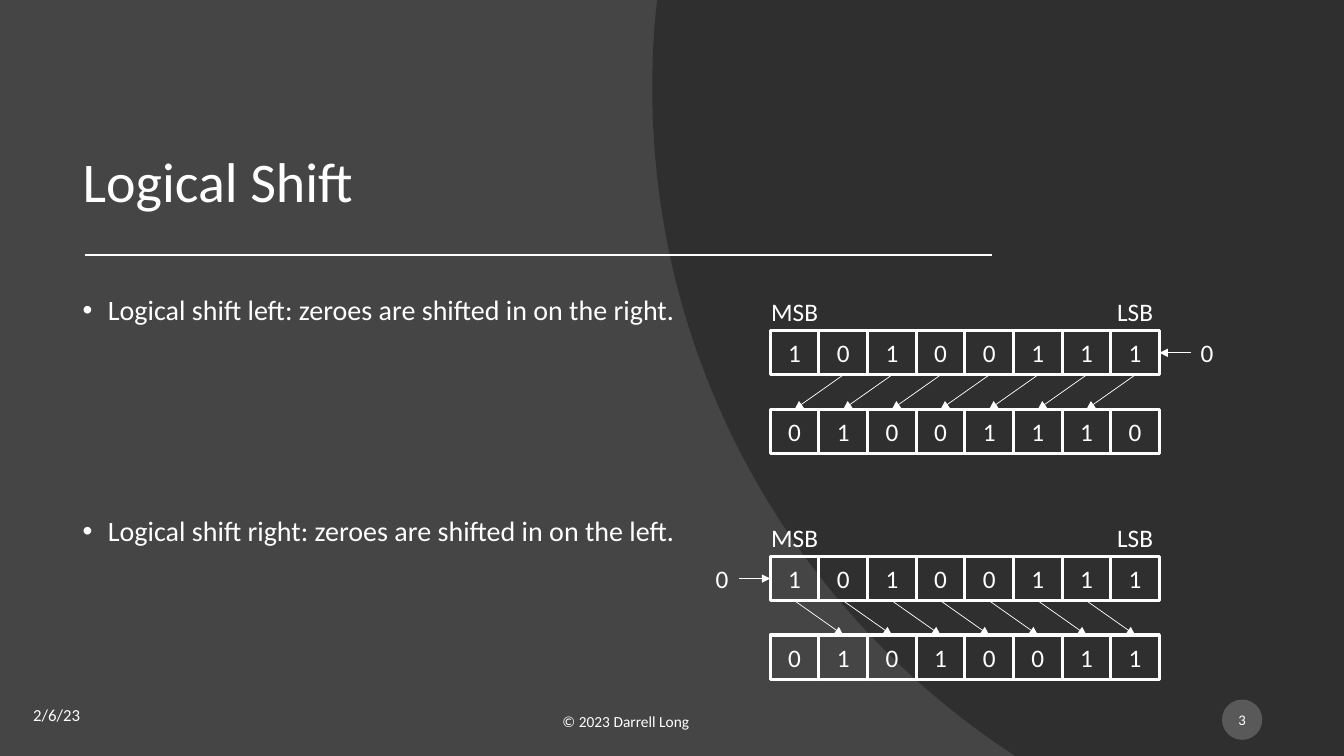
from lxml import etree
from pptx import Presentation
from pptx.dml.color import RGBColor
from pptx.enum.shapes import MSO_CONNECTOR, MSO_SHAPE
from pptx.enum.text import MSO_ANCHOR, MSO_AUTO_SIZE, PP_ALIGN
from pptx.oxml.ns import qn
from pptx.util import Inches, Pt

RECT, OVAL = MSO_SHAPE.RECTANGLE, MSO_SHAPE.OVAL
LINE = MSO_CONNECTOR.STRAIGHT
LEFT, CENTER = PP_ALIGN.LEFT, PP_ALIGN.CENTER
TOP, MIDDLE, BOTTOM = MSO_ANCHOR.TOP, MSO_ANCHOR.MIDDLE, MSO_ANCHOR.BOTTOM
FIXED = MSO_AUTO_SIZE.NONE

FONT, WHITE = "Calibri", "FFFFFF"
WIDE, HIGH = 13.33, 7.5

# Bit grid: eight columns, two rows per register pair
BITS = 8
GRID_X = 7.64
COL = 3.86 / BITS
ROW = 0.44
STEP = 0.78
TEXT_H = 0.4
ZERO_W = 0.33
REACH = 0.31


def color(code):
    return RGBColor.from_string(code)


def box(*sides):
    return [Inches(side) for side in sides]


def write(shape, lines, size, align=LEFT, anchor=MIDDLE, wrap=True):
    frame = shape.text_frame
    frame.text = "\n".join(lines)
    frame.auto_size = FIXED
    frame.word_wrap = wrap
    frame.vertical_anchor = anchor
    for para in frame.paragraphs:
        para.alignment = align
        for run in para.runs:
            run.font.name = FONT
            run.font.size = Pt(size)
            run.font.color.rgb = color(WHITE)
    return frame


def label(shapes, text, place, size, align=LEFT, wrap=True):
    write(shapes.add_textbox(*box(*place)), [text], size, align, wrap=wrap)


def rule(shapes, start, end, width, arrow=False):
    line = shapes.add_connector(LINE, *box(*start, *end))
    line.line.color.rgb = color(WHITE)
    line.line.width = Pt(width)
    if arrow:
        etree.SubElement(line.line._get_or_add_ln(), qn("a:tailEnd"), type="triangle")
    etree.SubElement(line._element.spPr, qn("a:effectLst"))


def curve(a, b, c, d, count=60):
    """Points along a cubic curve, after its start."""
    for i in range(1, count + 1):
        t = i / count
        s = 1 - t
        yield tuple(s**3 * p + 3 * s * s * t * q + 3 * s * t * t * r + t**3 * e
                    for p, q, r, e in zip(a, b, c, d))


def backdrop(slide):
    fill = slide.background.fill
    fill.solid()
    fill.fore_color.rgb = color("454545")
    low, edge, high = (9.95, 7.42), (6.47, 0.88), (6.51, 0.07)
    points = [(WIDE, 0), (WIDE, HIGH), (10.07, HIGH), low]
    points += curve(low, (7.85, 6), (6.47, 3.6), edge)
    points += curve(edge, (6.47, 0.61), (6.48, 0.34), high)
    pen = slide.shapes.build_freeform(Inches(6.52), 0)
    pen.add_line_segments([box(*point) for point in points])
    shade = pen.convert_to_shape()
    shade.shadow.inherit = False
    shade.line.fill.background()
    shade.fill.solid()
    shade.fill.fore_color.rgb = color("262626")
    tint = shade._element.spPr.find(".//" + qn("a:srgbClr"))
    etree.SubElement(tint, qn("a:alpha"), val="70000")


def heading(slide, text):
    title = slide.shapes.title
    title.left, title.top, title.width, title.height = box(0.72, 0.4, 9.86, 1.78)
    frame = write(title, [text], 40, anchor=BOTTOM)
    frame.paragraphs[0].line_spacing = 0.9
    rule(slide.shapes, (0.84, 2.53), (9.84, 2.53), 1.5)


def points_list(slide, lines):
    body = slide.placeholders[1]
    body.left, body.top, body.width, body.height = box(0.72, 2.89, 9.86, 3.64)
    frame = write(body, lines, 20, anchor=TOP)
    for i, para in enumerate(frame.paragraphs):
        props = para._p.get_or_add_pPr()
        props.set("marL", str(Inches(0.25)))
        props.set("indent", str(-Inches(0.25)))
        etree.SubElement(props, qn("a:buFont"), typeface="Arial")
        etree.SubElement(props, qn("a:buChar"), char="•")
        para.line_spacing = 0.9
        para.space_before = Pt(136.5 if i else 0)


def middle(i):
    return GRID_X + (i + 0.5) * COL


def register(shapes, bits, top):
    for i, bit in enumerate(bits):
        cell = shapes.add_shape(RECT, *box(GRID_X + i * COL, top, COL, ROW))
        cell.shadow.inherit = False
        cell.fill.background()
        cell.line.color.rgb = color(WHITE)
        cell.line.width = Pt(2.25)
        write(cell, [bit], 18, CENTER, wrap=False)


def shift(slide, before, after, top, move):
    """Two registers; move is -1 for a left shift and 1 for a right shift."""
    shapes = slide.shapes.add_group_shape().shapes
    register(shapes, before, top)
    register(shapes, after, top + STEP)
    for text, i, width in (("MSB", 0, 0.67), ("LSB", BITS - 1, 0.56)):
        place = (middle(i) - width / 2, top - 0.39, width, TEXT_H)
        label(shapes, text, place, 18, CENTER, wrap=False)
    # Bits that move to the next column
    for i in range(BITS):
        if 0 <= i + move < BITS:
            rule(shapes, (middle(i), top + ROW),
                 (middle(i + move), top + STEP), 0.5, arrow=True)
    # Zero that comes in at the open end
    edge = GRID_X if move > 0 else GRID_X + BITS * COL
    start, mid = edge - move * REACH, top + ROW / 2
    rule(shapes, (start, mid), (edge, mid), 0.5, arrow=True)
    left = start - ZERO_W if move > 0 else start
    label(shapes, "0", (left, mid - TEXT_H / 2, ZERO_W, TEXT_H), 18, wrap=False)


def footer(slide):
    shapes = slide.shapes
    label(shapes, "2/6/23", (0.23, 6.89, 1.46, TEXT_H), 12)
    label(shapes, "© 2023 Darrell Long", (5.48, 6.96, 2.16, TEXT_H), 11)
    badge = shapes.add_shape(OVAL, *box(12.12, 6.94, 0.4, 0.4))
    badge.shadow.inherit = False
    badge.fill.solid()
    badge.fill.fore_color.rgb = color("595959")
    badge.line.fill.background()
    write(badge, ["3"], 10.5, CENTER, wrap=False)


def main():
    deck = Presentation()
    deck.slide_width, deck.slide_height = box(WIDE, HIGH)
    slide = deck.slides.add_slide(deck.slide_layouts[1])
    backdrop(slide)
    heading(slide, "Logical Shift")
    points_list(slide, [
        "Logical shift left: zeroes are shifted in on the right.",
        "Logical shift right: zeroes are shifted in on the left.",
    ])
    shift(slide, "10100111", "01001110", 3.28, -1)
    shift(slide, "10100111", "01010011", 5.52, 1)
    footer(slide)
    deck.save("out.pptx")


if __name__ == "__main__":
    main()
